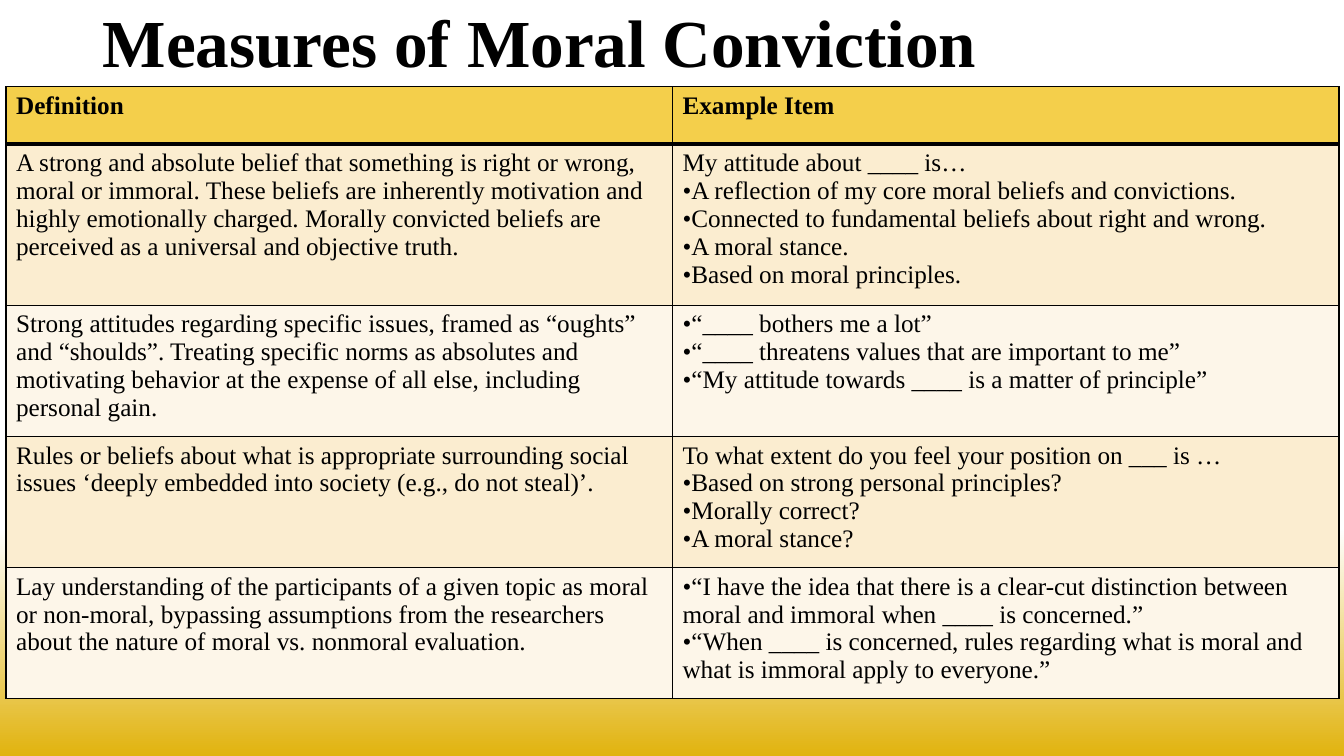
from copy import deepcopy

from lxml.etree import SubElement
from pptx import Presentation
from pptx.dml.color import RGBColor
from pptx.enum.text import MSO_ANCHOR
from pptx.oxml.ns import qn
from pptx.util import Inches, Pt

FONT = "Times New Roman"
BLACK = RGBColor(0x00, 0x00, 0x00)
WHITE = RGBColor(0xFF, 0xFF, 0xFF)
NEAR_WHITE = RGBColor(0xFE, 0xFF, 0xFF)
GOLD = RGBColor(0xE1, 0xB3, 0x0E)
HEADER_YELLOW = RGBColor(0xF4, 0xCF, 0x4B)
BAND_DARK = RGBColor(0xFB, 0xED, 0xD0)
BAND_LIGHT = RGBColor(0xFD, 0xF6, 0xE9)

SLIDE_WIDTH, SLIDE_HEIGHT = Inches(13.33), Inches(7.5)
COLUMN_WIDTH = Inches(6.61)
ROW_HEIGHT, TALL_ROW_HEIGHT = Inches(0.57), Inches(1.44)
THIN, THICK = Pt(1), Pt(3)

# Each row: definition, then the lines of its example item
MEASURES = [
    ("Definition", ["Example Item"]),
    ("A strong and absolute belief that something is right or wrong, moral or "
     "immoral. These beliefs are inherently motivation and highly emotionally "
     "charged. Morally convicted beliefs are perceived as a universal and "
     "objective truth.",
     ["My attitude about ____ is…",
      "•A reflection of my core moral beliefs and convictions.",
      "•Connected to fundamental beliefs about right and wrong.",
      "•A moral stance.",
      "•Based on moral principles."]),
    ("Strong attitudes regarding specific issues, framed as “oughts” and "
     "“shoulds”. Treating specific norms as absolutes and motivating behavior "
     "at the expense of all else, including personal gain.",
     ["•“____ bothers me a lot”",
      "•“____ threatens values that are important to me”",
      "•“My attitude towards ____ is a matter of principle”"]),
    ("Rules or beliefs about what is appropriate surrounding social issues "
     "‘deeply embedded into society (e.g., do not steal)’.",
     ["To what extent do you feel your position on ___ is …",
      "•Based on strong personal principles?",
      "•Morally correct?",
      "•A moral stance?"]),
    ("Lay understanding of the participants of a given topic as moral or "
     "non-moral, bypassing assumptions from the researchers about the nature "
     "of moral vs. nonmoral evaluation.",
     ["•“I have the idea that there is a clear-cut distinction between moral "
      "and immoral when ____ is concerned.”",
      "•“When ____ is concerned, rules regarding what is moral and what is "
      "immoral apply to everyone.”"]),
]


def write_lines(frame, lines, size, bold):
    frame.text = "\n".join(lines)
    for para in frame.paragraphs:
        para.font.name = FONT
        para.font.size = Pt(size)
        para.font.bold = bold
        para.font.color.rgb = BLACK


def paint_background(page):
    fill = page.background.fill
    fill.gradient()
    fill.gradient_angle = 270
    # The default gradient has two stops; a third is needed
    stop_list = page.element.find(".//" + qn("a:gsLst"))
    stop_list.append(deepcopy(stop_list[0]))
    colors = [(0.31, WHITE), (0.7, NEAR_WHITE), (1, GOLD)]
    for stop, (position, color) in zip(fill.gradient_stops, colors):
        stop.position = position
        stop.color.rgb = color


def add_title(page, title):
    box = page.shapes.add_textbox(Inches(0.92), 0, Inches(11.5), Inches(0.91))
    frame = box.text_frame
    frame.word_wrap = True
    frame.vertical_anchor = MSO_ANCHOR.MIDDLE
    write_lines(frame, [title], 48, True)
    frame.paragraphs[0].line_spacing = 0.9


def draw_border(cell, side, width):
    properties = cell._tc.get_or_add_tcPr()
    line = SubElement(properties, qn(f"a:ln{side}"), w=str(width))
    fill = SubElement(line, qn("a:solidFill"))
    SubElement(fill, qn("a:srgbClr"), val=str(BLACK))


def style_cell(cell, row):
    # Borders come before the fill in the cell's properties
    thick_side = {0: "B", 1: "T"}.get(row)
    for side in "LRTB":
        draw_border(cell, side, THICK if side == thick_side else THIN)
    cell.fill.solid()
    band = BAND_DARK if row % 2 else BAND_LIGHT
    cell.fill.fore_color.rgb = band if row else HEADER_YELLOW


def add_measures_table(page):
    graphic = page.shapes.add_table(
        len(MEASURES), 2, Inches(0.06), Inches(0.86),
        2 * COLUMN_WIDTH, Inches(5.77))
    table = graphic.table
    for column in table.columns:
        column.width = COLUMN_WIDTH
    for row, (definition, examples) in enumerate(MEASURES):
        table.rows[row].height = TALL_ROW_HEIGHT if row == 1 else ROW_HEIGHT
        for column, lines in enumerate([[definition], examples]):
            cell = table.cell(row, column)
            write_lines(cell.text_frame, lines, 18, row == 0)
            style_cell(cell, row)
    graphic.height = Inches(5.77)


def main():
    deck = Presentation()
    deck.slide_width, deck.slide_height = SLIDE_WIDTH, SLIDE_HEIGHT
    page = deck.slides.add_slide(deck.slide_layouts[6])
    paint_background(page)
    add_title(page, "Measures of Moral Conviction")
    add_measures_table(page)
    deck.save("out.pptx")


if __name__ == "__main__":
    main()
